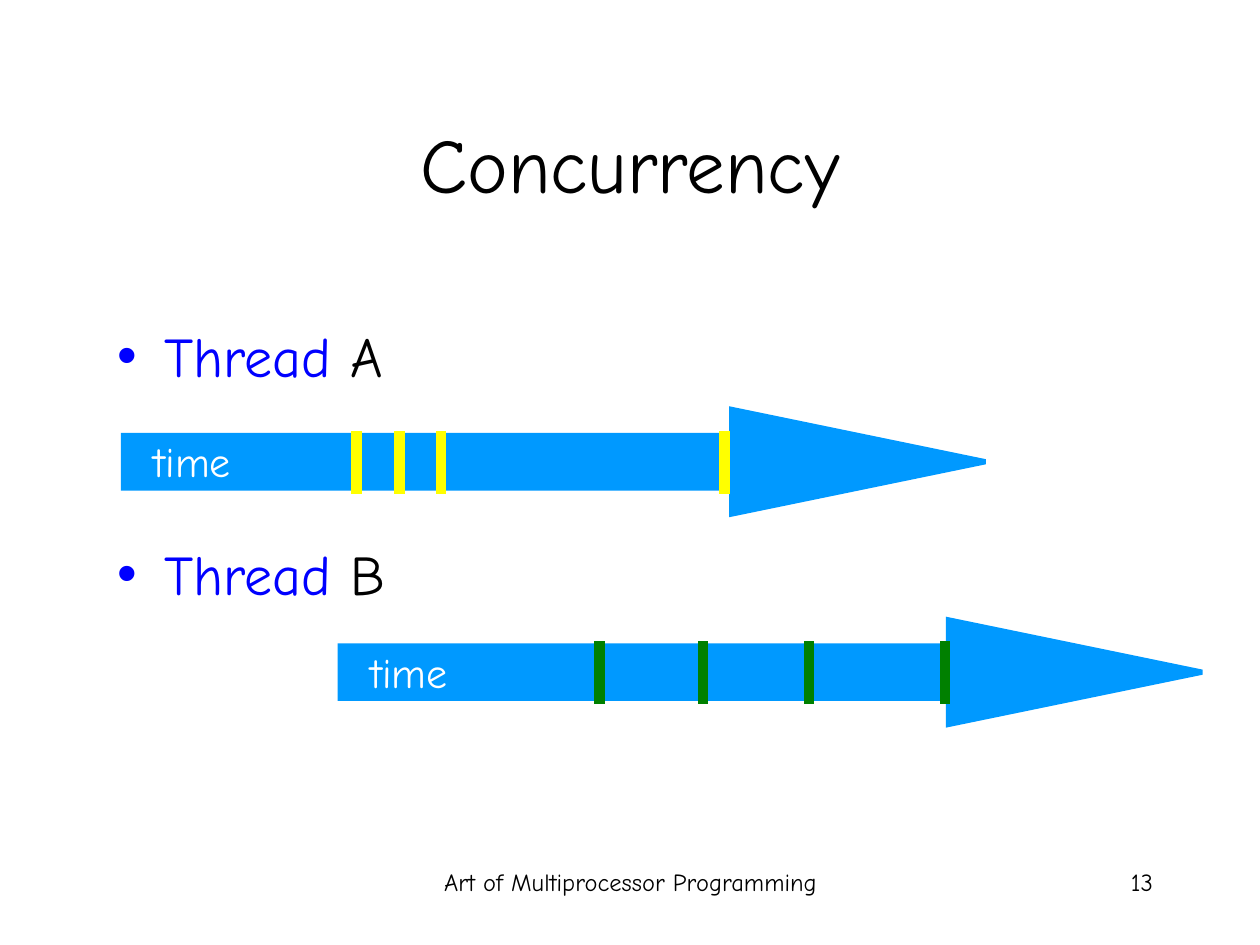
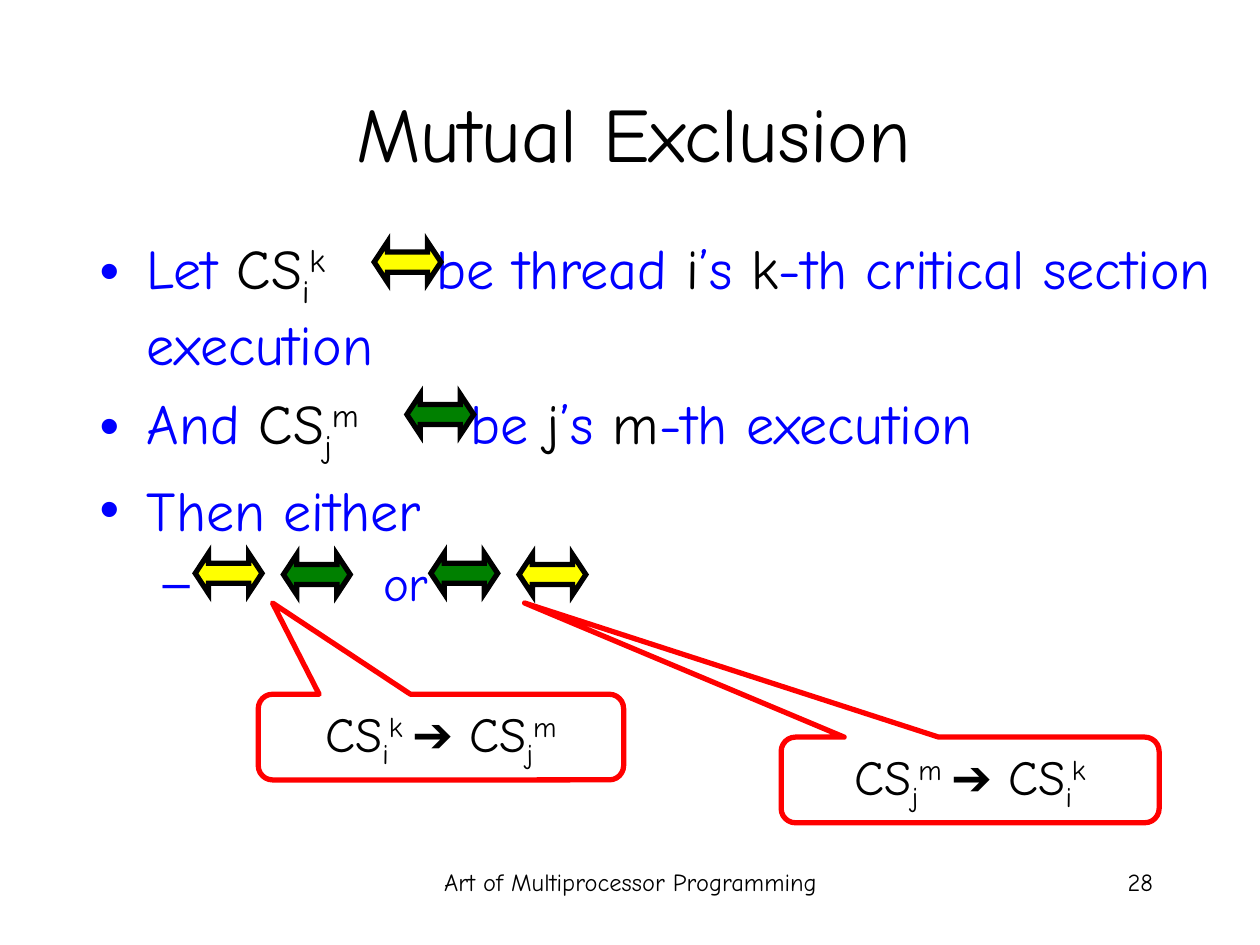
from lxml.etree import SubElement
from pptx import Presentation
from pptx.dml.color import RGBColor
from pptx.enum.shapes import MSO_CONNECTOR, MSO_SHAPE
from pptx.enum.text import MSO_ANCHOR, MSO_AUTO_SIZE, PP_ALIGN
from pptx.oxml.ns import qn
from pptx.util import Inches, Pt

FONT = "Comic Neue"
COLORS = {
    "text": "000000",
    "body": "0000FF",
    "time": "0099FF",
    "light": "FFFFFF",
    "yellow": "FFFF00",
    "green": "008000",
    "callout": "FF0000",
}
FOOTER = "Art of Multiprocessor Programming"
SUB, SUPER = {"baseline": "-25000"}, {"baseline": "30000"}
ARROW_GAP = (" ", "body", {"spc": "5300"})  # room for an arrow inside a line


def rgb(name):
    return RGBColor.from_string(COLORS[name])


def box(left, top, width, height):
    return [Inches(v) for v in (left, top, width, height)]


def place(sp, at):
    for name, value in zip(("left", "top", "width", "height"), box(*at)):
        setattr(sp, name, value)


def add_runs(p, runs, size):
    """Append runs given as (text, colour) or (text, colour, XML attributes)."""
    for text, color, *extra in runs:
        r = p.add_run()
        r.text = text
        for name, value in {"name": FONT, "size": Pt(size)}.items():
            setattr(r.font, name, value)
        r.font.color.rgb = rgb(color)
        for attributes in extra:
            for name, value in attributes.items():
                r.font._element.set(name, value)


def critical_section(thread, number, before=""):
    return [(before + "CS", "text"), (thread, "text", SUB), (number, "text", SUPER)]


def add_label(s, text, at, size, align, color="text"):
    tf = s.shapes.add_textbox(*box(*at)).text_frame
    tf.word_wrap = True
    p = tf.paragraphs[0]
    p.alignment = align
    add_runs(p, [(text, color)], size)


def add_slide(prs, title, title_at, body_at, number):
    """Add a titled slide with footer; return it and its body text frame."""
    s = prs.slides.add_slide(prs.slide_layouts[1])
    heading, body = s.shapes.title, s.placeholders[1]
    for sp, at in ((heading, title_at), (body, body_at)):
        place(sp, at)
        sp.text_frame.auto_size = MSO_AUTO_SIZE.NONE
    p = heading.text_frame.paragraphs[0]
    p.alignment = PP_ALIGN.CENTER
    add_runs(p, [(title, "text")], 44)
    add_label(s, FOOTER, (3.42, 6.83, 3.17, 0.5), 14, PP_ALIGN.CENTER)
    add_label(s, str(number), (7.17, 6.83, 2.08, 0.5), 14, PP_ALIGN.RIGHT)
    return s, body.text_frame


def fill_list(tf, items):
    for i, runs in enumerate(items):
        p = tf.paragraphs[0] if i == 0 else tf.add_paragraph()
        add_runs(p, runs, 32)


def add_outlined(s, kind, at, adjustments, line, fill=None):
    sp = s.shapes.add_shape(kind, *box(*at))
    sp.shadow.inherit = False
    for i, value in enumerate(adjustments):
        sp.adjustments[i] = value
    if fill:
        sp.fill.solid()
        sp.fill.fore_color.rgb = rgb(fill)
    else:
        sp.fill.background()
    sp.line.color.rgb = rgb(line)
    sp.line.width = Pt(3)
    return sp


def miter(sp):
    SubElement(sp.line._get_or_add_ln(), qn("a:miter"), lim="800000")


def add_timeline(s, left, top, events, color):
    """Draw a time arrow with a vertical tick at each event."""
    arrow = add_outlined(s, MSO_SHAPE.RIGHT_ARROW, (left, top, 6.84, 0.83),
                         (0.5, 2.425), "time", "time")
    miter(arrow)
    add_label(s, "time", (left + 0.06, top + 0.16, 0.89, 0.5), 24,
              PP_ALIGN.RIGHT, "light")
    for x in events:
        y = top + 0.17
        tick = s.shapes.add_connector(
            MSO_CONNECTOR.STRAIGHT, *box(x, y, x, y + 0.5))
        tick.line.color.rgb = rgb(color)
        tick.line.width = Pt(6)
        SubElement(tick._element.spPr, qn("a:effectLst"))


def add_interval(s, left, top, color):
    miter(add_outlined(s, MSO_SHAPE.LEFT_RIGHT_ARROW, (left, top, 0.53, 0.32),
                       (0.5, 0.33), "text", color))


def add_callout(s, at, tip, first, second):
    sp = add_outlined(s, MSO_SHAPE.ROUNDED_RECTANGULAR_CALLOUT, at,
                      (*tip, 0.167), "callout")
    tf = sp.text_frame
    tf.word_wrap = True
    tf.vertical_anchor = MSO_ANCHOR.MIDDLE
    p = tf.paragraphs[0]
    p.alignment = PP_ALIGN.CENTER
    thread, number = first
    add_runs(p, critical_section(thread, number + " ")
             + critical_section(*second, before="➔ "), 28)


def concurrency_slide(prs):
    s, tf = add_slide(prs, "Concurrency", (0.75, 0.67, 8.5, 1.25),
                      (0.83, 2.5, 8.5, 3.58), 13)
    fill_list(tf, [[("Thread ", "body"), (name, "text")] for name in "AB"])
    tf.paragraphs[1].space_before = Pt(86)
    add_timeline(s, 0.98, 3.25, (2.83, 3.17, 3.5, 5.75), "yellow")
    add_timeline(s, 2.7, 4.92, (4.76, 5.58, 6.42, 7.5), "green")


def mutual_exclusion_slide(prs):
    s, tf = add_slide(prs, "Mutual Exclusion", (0.78, 0.42, 8.5, 1.25),
                      (0.69, 1.8, 9.03, 4.54), 28)
    ik, jm = ("i", "k"), ("j", "m")
    fill_list(tf, [
        [("Let ", "body"), *critical_section(*ik), ARROW_GAP,
         ("be thread ", "body"), ("i", "text"), ("’s ", "body"), ("k", "text"),
         ("-th critical section execution", "body")],
        [("And ", "body"), *critical_section(*jm), ARROW_GAP,
         ("be ", "body"), ("j", "text"), ("’s ", "body"), ("m", "text"),
         ("-th execution", "body")],
        [("Then either", "body")],
    ])
    p = tf.add_paragraph()
    p.level = 1
    for name, value in {"marL": 2.25, "indent": -1.75}.items():
        p._p.get_or_add_pPr().set(name, str(Inches(value)))
    add_runs(p, [("or", "body")], 28)

    add_interval(s, 2.97, 1.92, "yellow")
    add_interval(s, 3.23, 3.13, "green")
    for left, order in ((1.55, ("yellow", "green")), (3.42, ("green", "yellow"))):
        for i, color in enumerate(order):
            add_interval(s, left + 0.7 * i, 4.39 + 0.01 * i, color)
    add_callout(s, (2.05, 5.51, 2.9, 0.68), (-0.461, -1.566), ik, jm)
    add_callout(s, (6.2, 5.85, 3, 0.68), (-1.179, -2.066), jm, ik)


def main():
    prs = Presentation()
    prs.slide_width, prs.slide_height = Inches(10), Inches(7.5)
    concurrency_slide(prs)
    mutual_exclusion_slide(prs)
    prs.save("out.pptx")


if __name__ == "__main__":
    main()
